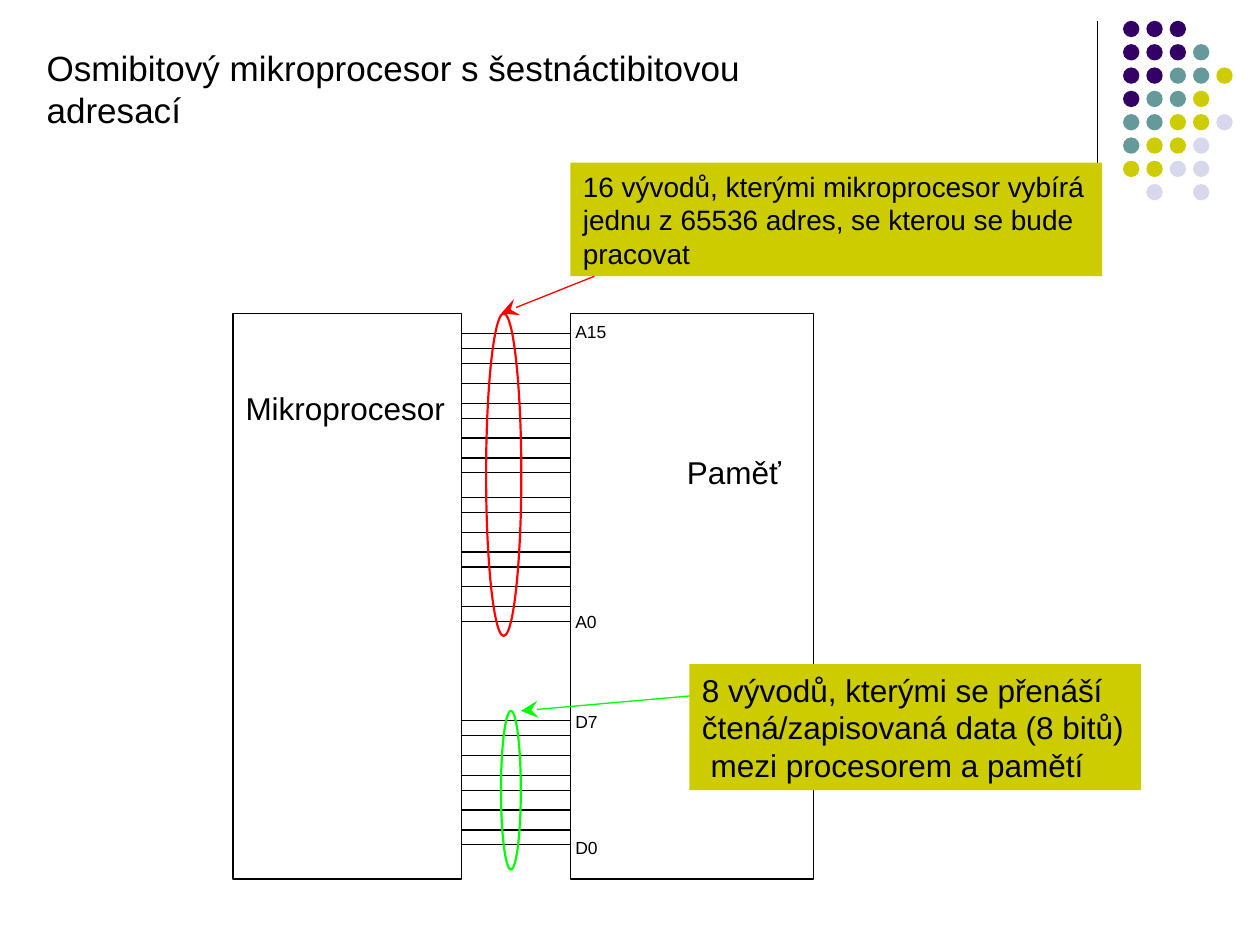
import pptx
import pptx.util
import pptx.dml.color
import pptx.enum.shapes
import pptx.enum.text
from itertools import accumulate
from lxml import etree
from pptx.oxml.ns import qn

Cm, Pt = pptx.util.Cm, pptx.util.Pt
RGB = pptx.dml.color.RGBColor
SHAPE = pptx.enum.shapes.MSO_SHAPE
ALIGN = pptx.enum.text.PP_ALIGN
ANCHOR = pptx.enum.text.MSO_ANCHOR

BLACK = RGB(0, 0, 0)
RED = RGB(0xFF, 0, 0)
GREEN = RGB(0, 0xFF, 0)
PURPLE = RGB(0x33, 0, 0x66)
TEAL = RGB(0x66, 0x99, 0x99)
OLIVE = RGB(0xCC, 0xCC, 0)
LILAC = RGB(0xD8, 0xD8, 0xEC)

# Dot colours by row
DOTS = ["PPP", "PPPT", "PPTTO", "PTTO", "TTOOL", "TOOL", "OOLL", " L L"]
DOT_COLOURS = {"P": PURPLE, "T": TEAL, "O": OLIVE, "L": LILAC}
DOT_PITCH = 0.47

# Chips and the pins between them, in cm
CHIP_TOP, CHIP_HEIGHT = 6.32, 11.4
PIN_LEFT, PIN_RIGHT = 9.3, 11.5
ADDRESS_TOP, DATA_TOP = 6.73, 14.53
ADDRESS_GAPS = [.3, .3, .4, .4, .3, .4, .4, .3, .5, .3, .4, .4, .3, .4, .4, .3]
DATA_GAPS = [.3, .4, .4, .3, .4, .4, .3]


def put_text(sp, text, size):
    tf = sp.text_frame
    frame_format = {"word_wrap": True, "vertical_anchor": ANCHOR.TOP,
                    "auto_size": pptx.enum.text.MSO_AUTO_SIZE.NONE,
                    "margin_left": Cm(0.25), "margin_right": Cm(0.25),
                    "margin_top": Cm(0.13), "margin_bottom": Cm(0.13)}
    for name, value in frame_format.items():
        setattr(tf, name, value)
    p = tf.paragraphs[0]
    p.text = text
    p.alignment = ALIGN.LEFT
    for r in p.runs:
        for name, value in {"name": "Arial", "size": Pt(size)}.items():
            setattr(r.font, name, value)
        r.font.color.rgb = BLACK


def add_title(s, text, box, size):
    sp = s.shapes.title
    for name, value in zip(("left", "top", "width", "height"), box):
        setattr(sp, name, Cm(value))
    put_text(sp, text, size)


def add_label(s, text, box, size):
    put_text(s.shapes.add_textbox(*map(Cm, box)), text, size)


def add_shape(s, kind, box, fill=None, line=None, width=0.75):
    sp = s.shapes.add_shape(kind, *map(Cm, box))
    sp.shadow.inherit = False
    if fill is None:
        sp.fill.background()
    else:
        sp.fill.solid()
        sp.fill.fore_color.rgb = fill
    if line is None:
        sp.line.fill.background()
    else:
        sp.line.color.rgb = line
        sp.line.width = Pt(width)
    return sp


def add_line(s, start, end, colour=BLACK, arrow=False):
    line = s.shapes.add_connector(pptx.enum.shapes.MSO_CONNECTOR.STRAIGHT,
                                  *map(Cm, start + end))
    line.line.color.rgb = colour
    line.line.width = Pt(0.75)
    if arrow:
        etree.SubElement(line.line._get_or_add_ln(), qn("a:tailEnd"),
                         type="stealth", w="lg", len="lg")
    etree.SubElement(line._element.spPr, qn("a:effectLst"))


def add_bus(s, top, gaps):
    for y in accumulate(gaps, initial=top):
        add_line(s, (PIN_LEFT, y), (PIN_RIGHT, y))


def add_decoration(s):
    add_line(s, (22.12, 0.43), (22.12, 4.65))
    for row, codes in enumerate(DOTS):
        for col, code in enumerate(codes):
            if code in DOT_COLOURS:
                box = (22.64 + col * DOT_PITCH, 0.42 + row * DOT_PITCH, 0.33, 0.33)
                add_shape(s, SHAPE.OVAL, box, fill=DOT_COLOURS[code])


def add_callout(s, text, box, size):
    put_text(add_shape(s, SHAPE.RECTANGLE, box, fill=OLIVE), text, size)


def main():
    prs = pptx.Presentation()
    prs.slide_width, prs.slide_height = Cm(25.4), Cm(19.05)
    s = prs.slides.add_slide(prs.slide_layouts[5])
    add_decoration(s)
    add_title(s, "Osmibitový mikroprocesor s šestnáctibitovou adresací",
              (0.69, 0.81, 15.7, 1.96), 20)

    # Chips and buses
    for left, width in ((4.7, 4.6), (11.5, 4.9)):
        add_shape(s, SHAPE.RECTANGLE, (left, CHIP_TOP, width, CHIP_HEIGHT), line=BLACK)
    add_bus(s, ADDRESS_TOP, ADDRESS_GAPS)
    add_bus(s, DATA_TOP, DATA_GAPS)
    add_label(s, "Mikroprocesor", (4.7, 7.72, 5.1, 1.02), 18)
    add_label(s, "Paměť", (13.6, 9, 2.8, 1.02), 18)

    # Callouts with the bus each one points to
    add_callout(s, "16 vývodů, kterými mikroprocesor vybírá jednu z 65536 adres, "
                "se kterou se bude pracovat", (11.5, 3.28, 10.72, 2.29), 16)
    add_callout(s, "8 vývodů, kterými se přenáší čtená/zapisovaná data (8 bitů)\v"
                " mezi procesorem a pamětí", (13.9, 13.39, 9.1, 2.54), 18)
    add_shape(s, SHAPE.OVAL, (9.8, 6.32, 0.71, 6.5), line=RED, width=1.25)
    add_line(s, (11.98, 5.57), (10.1, 6.32), RED, arrow=True)
    add_shape(s, SHAPE.OVAL, (10.1, 14.33, 0.4, 3.2), line=GREEN, width=1.25)
    add_line(s, (13.9, 14.03), (10.5, 14.33), GREEN, arrow=True)

    # Pin names
    for name, top in (("A15", 6.35), ("A0", 12.19), ("D7", 14.2), ("D0", 16.74)):
        add_label(s, name, (11.35, top, 1.3, 0.69), 10)

    prs.save("out.pptx")


main()
